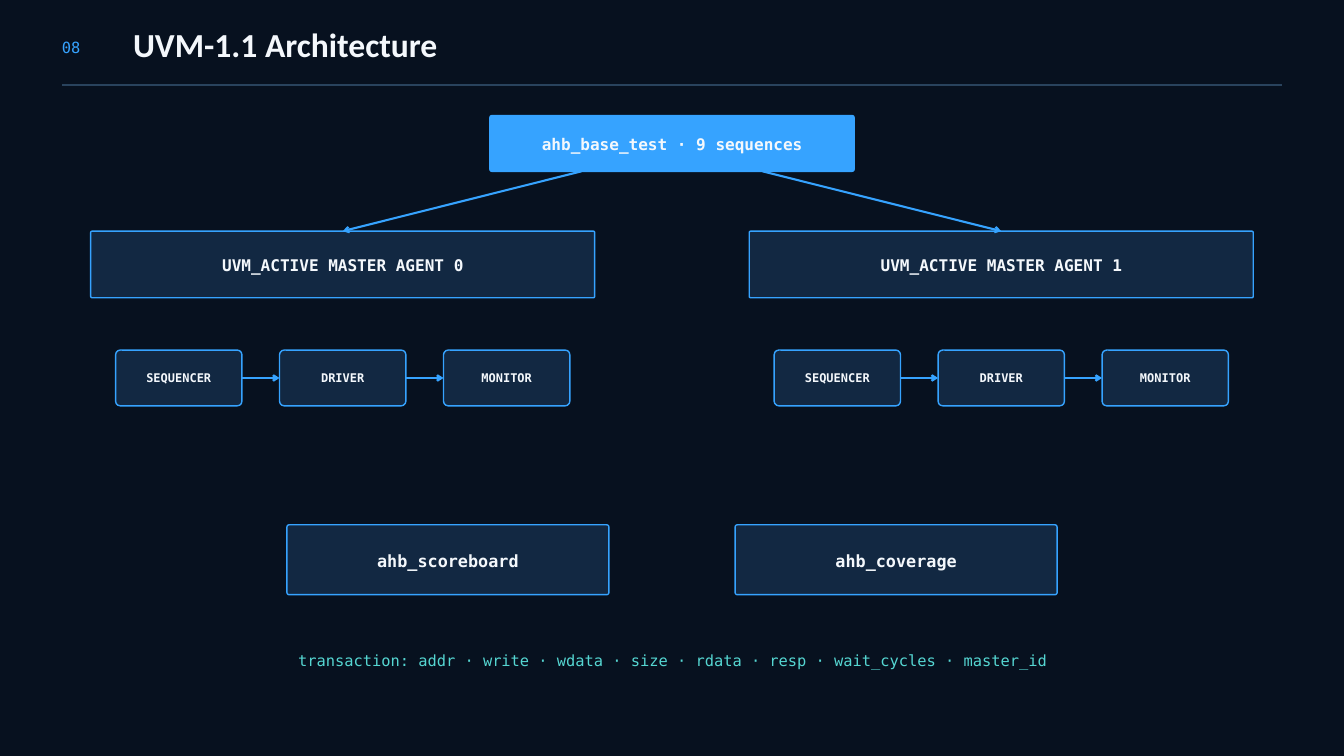
from lxml import etree
from pptx import Presentation
from pptx import util as u
from pptx.dml.color import RGBColor
from pptx.enum import shapes, text
from pptx.oxml.ns import qn

COLORS = {
    "background": "07111F",
    "accent": "36A3FF",
    "panel": "122842",
    "rule": "29435D",
    "text": "F4F8FC",
    "note": "55D6D2",
}
MONO = "DejaVu Sans Mono"
SLIDE_WIDTH, SLIDE_HEIGHT = 20, 11.25
AGENT_WIDTH, AGENT_TOP = 7.5, 3.44
STAGES = ("SEQUENCER", "DRIVER", "MONITOR")
STAGE_WIDTH, STAGE_INSET = 1.88, 0.37
STAGE_PITCH = (AGENT_WIDTH - 2 * STAGE_INSET - STAGE_WIDTH) / (len(STAGES) - 1)


def color(name):
    return RGBColor.from_string(COLORS[name])


def write(shape, content, size, spacing, font=MONO, fill="text", bold=False,
          align=text.PP_ALIGN.LEFT, anchor=text.MSO_ANCHOR.TOP,
          insets=(0, 0, 0, 0)):
    """Put one formatted paragraph in a shape; insets are left, top, right, bottom."""
    frame = shape.text_frame
    frame.word_wrap = True
    frame.auto_size = text.MSO_AUTO_SIZE.NONE
    frame.vertical_anchor = anchor
    (frame.margin_left, frame.margin_top,
     frame.margin_right, frame.margin_bottom) = map(u.Inches, insets)
    paragraph = frame.paragraphs[0]
    paragraph.alignment = align
    paragraph.line_spacing = u.Pt(spacing)
    run = paragraph.add_run()
    run.text = content
    run.font.name = font
    run.font.size = u.Pt(size)
    run.font.bold = bold
    run.font.color.rgb = color(fill)


def add_label(slide, box, content, **style):
    label = slide.shapes.add_textbox(*map(u.Inches, box))
    write(label, content, 16.5, 20.6, **style)


def add_block(slide, box, content, size, radius, fill="panel"):
    block = slide.shapes.add_shape(
        shapes.MSO_SHAPE.ROUNDED_RECTANGLE, *map(u.Inches, box))
    block.adjustments[0] = radius / min(box[2:])
    block.shadow.inherit = False
    block.fill.solid()
    block.fill.fore_color.rgb = color(fill)
    block.line.color.rgb = color("accent")
    block.line.width = u.Pt(1.5)
    write(block, content, size, size * 1.4, bold=True,
          align=text.PP_ALIGN.CENTER, anchor=text.MSO_ANCHOR.MIDDLE,
          insets=(0.06, 0.03, 0.06, 0.06))
    return block


def add_line(slide, start=(0, 0), end=(0, 0), stroke="accent", width=2.25, arrow=True):
    line = slide.shapes.add_connector(
        shapes.MSO_CONNECTOR.STRAIGHT, *map(u.Inches, (*start, *end)))
    line.line.color.rgb = color(stroke)
    line.line.width = u.Pt(width)
    if arrow:
        etree.SubElement(line.line._get_or_add_ln(), qn("a:tailEnd"), type="arrow")
    etree.SubElement(line._element.spPr, qn("a:effectLst"))
    return line


def add_header(slide):
    add_label(slide, (0.92, 0.55, 0.94, 0.28), "08", fill="accent")
    title = slide.shapes.title
    title.left, title.top, title.width, title.height = map(
        u.Inches, (1.98, 0.42, 15.62, 0.61))
    write(title, "UVM-1.1 Architecture", 36, 38.9, font="Calibri", bold=True)
    add_line(slide, (0.92, 1.27), (19.08, 1.27), stroke="rule", width=2, arrow=False)


def add_agent(slide, left, number):
    """Add an agent with its row of linked stages, and return the agent block."""
    agent = add_block(slide, (left, AGENT_TOP, AGENT_WIDTH, 0.99),
                      f"UVM_ACTIVE MASTER AGENT {number}", 17.2, 0.02)
    blocks = [
        add_block(slide, (left + STAGE_INSET + index * STAGE_PITCH, 5.21,
                          STAGE_WIDTH, 0.83), name, 12.8, 0.07)
        for index, name in enumerate(STAGES)
    ]
    for source, target in zip(blocks, blocks[1:]):
        link = add_line(slide)
        link.begin_connect(source, 3)
        link.end_connect(target, 1)
    return agent


def main():
    presentation = Presentation()
    presentation.slide_width = u.Inches(SLIDE_WIDTH)
    presentation.slide_height = u.Inches(SLIDE_HEIGHT)
    slide = presentation.slides.add_slide(presentation.slide_layouts[5])
    slide.background.fill.solid()
    slide.background.fill.fore_color.rgb = color("background")

    add_header(slide)
    add_block(slide, (7.29, 1.72, 5.42, 0.83), "ahb_base_test · 9 sequences",
              17.2, 0.03, fill="accent")
    agents = [add_agent(slide, left, number)
              for number, left in enumerate((1.35, 11.15))]
    for left, name in ((4.27, "ahb_scoreboard"), (10.94, "ahb_coverage")):
        add_block(slide, (left, 7.81, 4.79, 1.04), name, 18, 0.03)
    for agent, start in zip(agents, (8.65, 11.35)):
        branch = add_line(slide, (start, 2.55), (start, AGENT_TOP))
        branch.end_connect(agent, 0)
    add_label(slide, (2.92, 9.68, 14.17, 0.28),
              "transaction: addr · write · wdata · size · rdata · resp"
              " · wait_cycles · master_id",
              fill="note", align=text.PP_ALIGN.CENTER)
    presentation.save("out.pptx")


if __name__ == "__main__":
    main()
